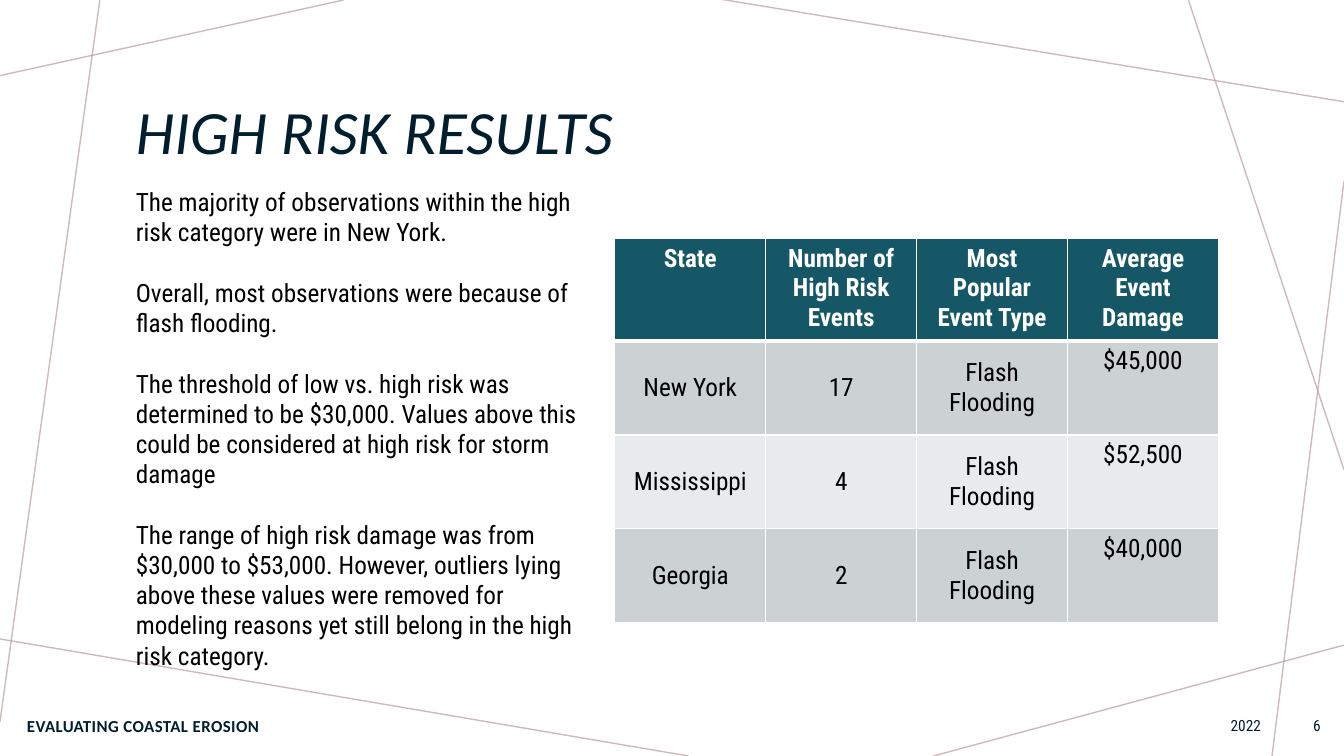
from lxml import etree
from pptx import Presentation
from pptx.dml.color import RGBColor
from pptx.enum.shapes import MSO_CONNECTOR
from pptx.enum.text import MSO_ANCHOR, PP_ALIGN
from pptx.oxml.ns import qn
from pptx.util import Pt

STRAIGHT = MSO_CONNECTOR.STRAIGHT
TOP, MIDDLE = MSO_ANCHOR.TOP, MSO_ANCHOR.MIDDLE
LEFT, CENTER, RIGHT = PP_ALIGN.LEFT, PP_ALIGN.CENTER, PP_ALIGN.RIGHT

NAVY = RGBColor(0x00, 0x1E, 0x2E)
TEAL = RGBColor(0x15, 0x57, 0x67)
ROSE = RGBColor(0xBA, 0x9C, 0xA0)
DARK_BAND = RGBColor(0xCC, 0xD1, 0xD3)
LIGHT_BAND = RGBColor(0xE8, 0xEA, 0xEB)
WHITE = RGBColor(0xFF, 0xFF, 0xFF)
BLACK = RGBColor(0x00, 0x00, 0x00)

HEADING_FONT = "Calibri"
BODY_FONT = "Roboto Condensed"
LINE_PITCH = 21.6

DECOR_LINES = [
    (245.5, 0, 0, 54),
    (71.3, 0, 0, 515.5),
    (491.8, 540, -3.6, 455.8),
    (960, 460.8, 666.7, 540),
    (960, 129.6, 908.6, 540),
    (960, 335.5, 848.9, 0),
    (960, 72.7, 514.1, -0.7),
]

FINDINGS = [
    "The majority of observations within the high risk category were in New York.",
    "Overall, most observations were because of flash flooding.",
    "The threshold of low vs. high risk was determined to be $30,000. "
    "Values above this could be considered at high risk for storm damage",
    "The range of high risk damage was from $30,000 to $53,000. However, "
    "outliers lying above these values were removed for modeling reasons "
    "yet still belong in the high risk category.",
]

RISK_ROWS = [
    ("State", "Number of High Risk Events", "Most Popular Event Type", "Average Event Damage"),
    ("New York", "17", "Flash Flooding", "$45,000"),
    ("Mississippi", "4", "Flash Flooding", "$52,500"),
    ("Georgia", "2", "Flash Flooding", "$40,000"),
]


def write_text(para, text, size=18, font=BODY_FONT, color=BLACK, bold=False,
               italic=False, align=LEFT, line_spacing=None, tracking=None):
    para.alignment = align
    if line_spacing:
        para.line_spacing = line_spacing
    span = para.add_run()
    span.text = text
    span.font.size = Pt(size)
    span.font.name = font
    span.font.color.rgb = color
    span.font.bold = bold
    span.font.italic = italic
    if tracking:
        span.font._element.set("spc", str(tracking))


def add_text_box(page, bounds, texts, anchor=MIDDLE, gap=0, **text_format):
    box = page.shapes.add_textbox(*map(Pt, bounds))
    frame = box.text_frame
    frame.word_wrap = True
    frame.vertical_anchor = anchor
    for index, text in enumerate(texts):
        para = frame.add_paragraph() if index else frame.paragraphs[0]
        if index and gap:
            para.space_before = Pt(gap)
        write_text(para, text, **text_format)


def add_decor_line(page, ends):
    line = page.shapes.add_connector(STRAIGHT, *map(Pt, ends))
    line.line.color.rgb = ROSE
    line.line.width = Pt(1)
    properties = line._element.spPr
    color = properties.find(".//" + qn("a:srgbClr"))
    etree.SubElement(color, qn("a:alpha")).set("val", "70000")
    etree.SubElement(properties, qn("a:effectLst"))


def set_borders(cell, top, bottom):
    properties = cell._tc.get_or_add_tcPr()
    widths = [("a:lnL", 1), ("a:lnR", 1), ("a:lnT", top), ("a:lnB", bottom)]
    for index, (side, width) in enumerate(widths):
        border = etree.Element(qn(side), w=str(Pt(width)))
        fill = etree.SubElement(border, qn("a:solidFill"))
        etree.SubElement(fill, qn("a:srgbClr"), val=str(WHITE))
        properties.insert(index, border)


def add_risk_table(page):
    frame = page.shapes.add_table(4, 4, Pt(439.2), Pt(170.6), Pt(431.2), Pt(274.2))
    table = frame.table
    for column in table.columns:
        column.width = Pt(107.8)
    for row_index, texts in enumerate(RISK_ROWS):
        header = row_index == 0
        table.rows[row_index].height = Pt(73.2 if header else 67)
        band = DARK_BAND if row_index % 2 else LIGHT_BAND
        for column_index, text in enumerate(texts):
            cell = table.cell(row_index, column_index)
            cell.fill.solid()
            cell.fill.fore_color.rgb = TEAL if header else band
            cell.vertical_anchor = TOP if header or column_index == 3 else MIDDLE
            set_borders(cell, top=3 if row_index == 1 else 1, bottom=3 if header else 1)
            write_text(cell.text_frame.paragraphs[0], text, bold=header,
                       color=WHITE if header else BLACK, align=CENTER)


def main():
    deck = Presentation()
    deck.slide_width, deck.slide_height = Pt(960), Pt(540)
    page = deck.slides.add_slide(deck.slide_layouts[6])
    page.background.fill.solid()
    page.background.fill.fore_color.rgb = WHITE

    for ends in DECOR_LINES:
        add_decor_line(page, ends)
    add_text_box(page, (90, 41.8, 780, 108.7), ["HIGH RISK RESULTS"], size=44,
                 font=HEADING_FONT, color=NAVY, italic=True, line_spacing=0.9)
    add_text_box(page, (12.2, 504, 354.2, 28.8), ["EVALUATING COASTAL EROSION"],
                 size=12, font=HEADING_FONT, color=NAVY, bold=True, tracking=30)
    add_text_box(page, (577.4, 504, 330.5, 28.8), ["2022"],
                 size=11, color=NAVY, align=RIGHT)
    add_text_box(page, (913.7, 504, 36.7, 28.8), ["6"],
                 size=11, color=NAVY, align=RIGHT)
    add_risk_table(page)
    add_text_box(page, (90, 129.6, 338.4, 334.1), FINDINGS, anchor=TOP,
                 gap=LINE_PITCH, line_spacing=Pt(LINE_PITCH))
    deck.save("out.pptx")


if __name__ == "__main__":
    main()
